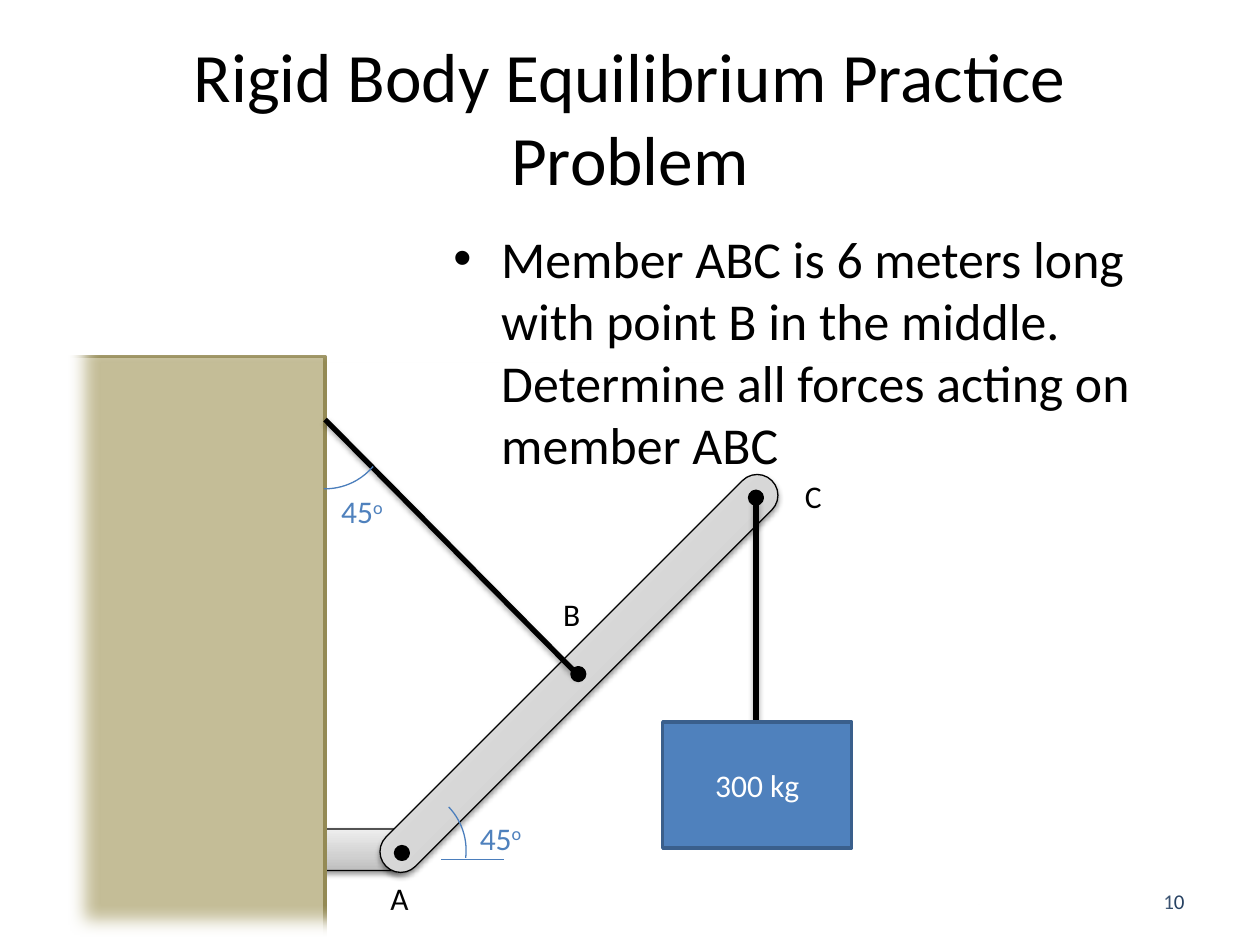
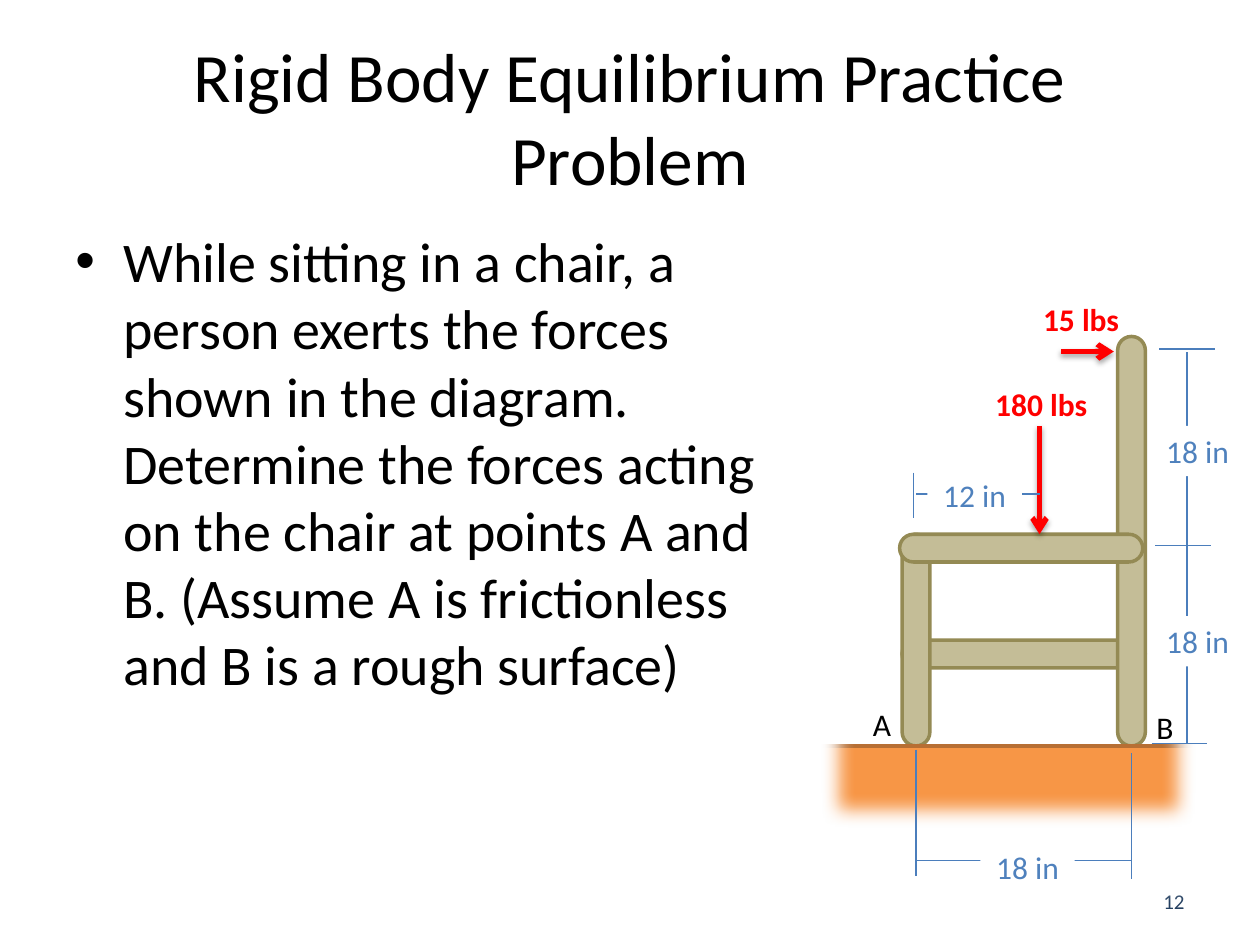
"""Build two practice-problem slides on rigid body equilibrium."""
from lxml import etree
from pptx import Presentation
from pptx.dml.color import RGBColor
from pptx.enum.shapes import MSO_CONNECTOR, MSO_SHAPE
from pptx.enum.text import MSO_ANCHOR, PP_ALIGN
from pptx.oxml.ns import qn
from pptx.util import Cm, Pt

RECTANGLE = MSO_SHAPE.RECTANGLE
ROUNDED = MSO_SHAPE.ROUNDED_RECTANGLE
ELLIPSE = MSO_SHAPE.OVAL
ARC = MSO_SHAPE.ARC
FRAME = MSO_SHAPE.FRAME
STRAIGHT = MSO_CONNECTOR.STRAIGHT
LEFT, CENTER, RIGHT = PP_ALIGN.LEFT, PP_ALIGN.CENTER, PP_ALIGN.RIGHT
TOP, MIDDLE = MSO_ANCHOR.TOP, MSO_ANCHOR.MIDDLE

TITLE = "Rigid Body Equilibrium Practice Problem"
FONT = "Calibri"
BLACK, WHITE, RED = "000000", "FFFFFF", "FF0000"
BLUE, BLUE_EDGE, DIMENSION, NAVY = "4F81BD", "3A5F8C", "4B7EBC", "254061"
TAN, TAN_EDGE = "C4BD97", "948A54"
ORANGE, ORANGE_EDGE = "F79646", "B76F34"
STEEL = ((0, "BDBDBD"), (35, "D1D1D1"), (100, "EEEEEE"))
LABEL_HEIGHT = 0.4
POINT_WIDTH, ANGLE_WIDTH, FORCE_WIDTH = 0.35, 0.6, 1
TITLE_ONLY = 5


def length(inches):
    return Cm(inches * 2.54)


def lengths(*values):
    return [length(value) for value in values]


def color(hex_string):
    return RGBColor.from_string(hex_string)


def add_element(parent, tag, **attributes):
    texts = {name: str(value) for name, value in attributes.items()}
    return etree.SubElement(parent, qn(tag), texts)


def add_shadow(effects, opacity):
    shadow = add_element(effects, "a:outerShdw", blurRad=Pt(3.1), dist=Pt(1.7),
                         dir=90 * 60000, algn="t", rotWithShape=0)
    shadow_color = add_element(shadow, "a:srgbClr", val=BLACK)
    add_element(shadow_color, "a:alpha", val=opacity * 1000)


def add_bullet(paragraph, indent):
    properties = paragraph._p.get_or_add_pPr()
    properties.set("marL", str(length(indent)))
    properties.set("indent", str(-length(indent)))
    add_element(properties, "a:buFont", typeface="Arial")
    add_element(properties, "a:buChar", char="•")


def add_run(paragraph, text, size, text_color, bold):
    run = paragraph.add_run()
    run.text = text
    run.font.name = FONT
    run.font.size = Pt(size)
    run.font.bold = bold
    run.font.color.rgb = color(text_color)
    return run


def set_text(shape, text, size=18, text_color=BLACK, bold=False, align=LEFT,
             anchor=TOP, wrap=True, bullet=False, superscript=""):
    frame = shape.text_frame
    frame.word_wrap = wrap
    frame.vertical_anchor = anchor
    paragraph = frame.paragraphs[0]
    paragraph.alignment = align
    if bullet:
        add_bullet(paragraph, 0.38)
    add_run(paragraph, text, size, text_color, bold)
    if superscript:
        run = add_run(paragraph, superscript, size, text_color, bold)
        run.font._element.set("baseline", "30000")


def add_text(slide, text, left, top, width, height=LABEL_HEIGHT, **text_format):
    box = slide.shapes.add_textbox(*lengths(left, top, width, height))
    set_text(box, text, **text_format)
    return box


def add_label(slide, text, left, top, width, **text_format):
    add_text(slide, text, left, top, width, wrap=False, **text_format)


def add_shape(slide, kind, left, top, width, height, fill=None, line=None, weight=2):
    shape = slide.shapes.add_shape(kind, *lengths(left, top, width, height))
    shape.shadow.inherit = False
    if fill:
        shape.fill.solid()
        shape.fill.fore_color.rgb = color(fill)
    else:
        shape.fill.background()
    if line:
        shape.line.color.rgb = color(line)
        shape.line.width = Pt(weight)
    else:
        shape.line.fill.background()
    return shape


def add_steel_bar(slide, left, top, width, rotation=0):
    bar = add_shape(slide, ROUNDED, left, top, width, 0.33, line=BLACK, weight=0.75)
    bar.adjustments[0] = 0.5
    bar.rotation = rotation
    bar.fill.gradient()
    bar.fill.gradient_angle = 90
    properties = bar._element.spPr
    stops = properties.find(qn("a:gradFill")).find(qn("a:gsLst"))
    for stop in list(stops):
        stops.remove(stop)
    for position, shade in STEEL:
        stop = add_element(stops, "a:gs", pos=position * 1000)
        add_element(stop, "a:srgbClr", val=shade)
    add_shadow(properties.find(qn("a:effectLst")), 38)


def add_wood(slide, left, top, width, height):
    wood = add_shape(slide, ROUNDED, left, top, width, height, TAN, TAN_EDGE)
    wood.adjustments[0] = 0.5


def add_pin(slide, center_x, center_y, diameter=0.1):
    radius = diameter / 2
    add_shape(slide, ELLIPSE, center_x - radius, center_y - radius,
              diameter, diameter, BLACK, BLACK)


def add_angle_arc(slide, left, top, start, end):
    arc = add_shape(slide, ARC, left, top, 1, 1, line=DIMENSION, weight=0.75)
    arc.adjustments[0] = start * 0.6
    arc.adjustments[1] = end * 0.6


def add_soft_frame(slide, left, top, width, height):
    frame = add_shape(slide, FRAME, left, top, width, height, WHITE)
    frame.adjustments[0] = 0.21
    effects = frame._element.spPr.find(qn("a:effectLst"))
    add_element(effects, "a:softEdge", rad=Pt(10))


def bring_to_front(shape):
    element = shape._element
    element.getparent().append(element)


def add_line(slide, start, end, line=DIMENSION, weight=0.75, arrow=False, shadow=False):
    connector = slide.shapes.add_connector(STRAIGHT, *lengths(*start, *end))
    connector.line.color.rgb = color(line)
    connector.line.width = Pt(weight)
    if arrow:
        add_element(connector.line._get_or_add_ln(), "a:tailEnd", type="arrow")
    effects = add_element(connector._element.spPr, "a:effectLst")
    if shadow:
        add_shadow(effects, 35)


def add_cable(slide, start, end):
    add_line(slide, start, end, BLACK, 3, shadow=True)


def add_force(slide, start, end):
    add_line(slide, start, end, RED, 3, arrow=True, shadow=True)


def add_dimension_label(slide, text, left, top):
    box = add_text(slide, text, left, top, 0.75, text_color=BLUE, align=CENTER)
    box.fill.solid()
    box.fill.fore_color.rgb = color(WHITE)


def add_problem_slide(presentation, number):
    slide = presentation.slides.add_slide(presentation.slide_layouts[TITLE_ONLY])
    title = slide.shapes.title
    title.left, title.top, title.width, title.height = lengths(0.5, 0.3, 9, 1.25)
    set_text(title, TITLE, size=39.6, align=CENTER, anchor=MIDDLE)
    add_text(slide, number, 7.17, 6.95, 2.33, size=12, text_color=NAVY,
             align=RIGHT, anchor=MIDDLE)
    return slide


def build_boom_slide(presentation):
    slide = add_problem_slide(presentation, "10")
    add_steel_bar(slide, 1.88, 6.58, 1.42)
    add_shape(slide, RECTANGLE, 0, 2.83, 2.58, 4.67, TAN, TAN_EDGE)
    add_steel_bar(slide, 2.43, 5.18, 4.33, rotation=315)
    add_cable(slide, (6, 3.92), (6, 5.93))
    add_cable(slide, (2.58, 3.33), (4.58, 5.35))
    for center in ((6, 3.95), (4.59, 5.35), (3.19, 6.77)):
        add_pin(slide, *center)
    weight = add_shape(slide, RECTANGLE, 5.26, 5.73, 1.5, 1, BLUE, BLUE_EDGE)
    set_text(weight, "300 kg", text_color=WHITE, align=CENTER, anchor=MIDDLE)
    for point, left, top in (("A", 3, 6.93), ("B", 4.37, 4.67), ("C", 6.29, 3.74)):
        add_label(slide, point, left, top, POINT_WIDTH)
    add_angle_arc(slide, 2.08, 2.88, 40.16, 91.1)
    add_angle_arc(slide, 2.7, 6.25, 316.33, 6.71)
    add_line(slide, (3.5, 6.82), (4, 6.82))
    for left, top in ((2.61, 3.86), (3.71, 6.45)):
        add_label(slide, "45", left, top, ANGLE_WIDTH, text_color=BLUE, superscript="o")
    add_soft_frame(slide, -0.75, 1.33, 10.08, 7.42)
    add_text(slide, "Member ABC is 6 meters long with point B in the middle. "
             "Determine all forces acting on member ABC",
             3.5, 1.75, 6, 1.75, size=29.6, bullet=True)
    bring_to_front(slide.shapes.title)


def build_chair_slide(presentation):
    slide = add_problem_slide(presentation, "12")
    add_text(slide, "While sitting in a chair, a person exerts the forces shown in "
             "the diagram. Determine the forces acting on the chair at points A and B. "
             "(Assume A is frictionless and B is a rough surface)",
             0.5, 1.75, 5.92, 4.54, size=32, bullet=True)

    wood = 0.22
    add_wood(slide, 7.16, 5.08, 1.93, wood)
    add_wood(slide, 8.87, 2.67, wood, 3.25)
    add_wood(slide, 7.16, 4.24, wood, 1.68)
    add_wood(slide, 7.14, 4.24, 1.93, wood)
    add_shape(slide, RECTANGLE, 6.5, 5.92, 3.25, 0.75, ORANGE, ORANGE_EDGE)
    add_soft_frame(slide, 5.92, 1.42, 4.17, 5.75)

    add_force(slide, (8.25, 3.38), (8.25, 4.24))
    add_force(slide, (8.42, 2.79), (8.84, 2.79))

    for x, top in ((7.27, 5.95), (8.98, 5.98)):
        add_line(slide, (x, top), (x, top + 1))
    add_line(slide, (8.98, 6.83), (7.26, 6.83))
    for left, y in ((9.14, 5.9), (9.17, 4.33), (9.2, 2.77)):
        add_line(slide, (left, y), (left + 0.44, y))
    add_line(slide, (9.42, 5.9), (9.42, 2.79))
    add_line(slide, (7.25, 3.75), (7.25, 4.11))
    add_line(slide, (8.25, 3.92), (7.27, 3.92))
    for text, left, top in (("18 in", 7.78, 6.68), ("18 in", 9.13, 3.38),
                            ("18 in", 9.13, 4.89), ("12 in", 7.36, 3.73)):
        add_dimension_label(slide, text, left, top)

    for force, left, top in (("180 lbs", 7.8, 3.01), ("15 lbs", 8.18, 2.33)):
        add_label(slide, force, left, top, FORCE_WIDTH, text_color=RED, bold=True)
    for point, left, top in (("A", 6.83, 5.55), ("B", 9.08, 5.57)):
        add_label(slide, point, left, top, POINT_WIDTH)


def main():
    presentation = Presentation()
    presentation.slide_width, presentation.slide_height = lengths(10, 7.5)
    build_boom_slide(presentation)
    build_chair_slide(presentation)
    presentation.save("out.pptx")


if __name__ == "__main__":
    main()
